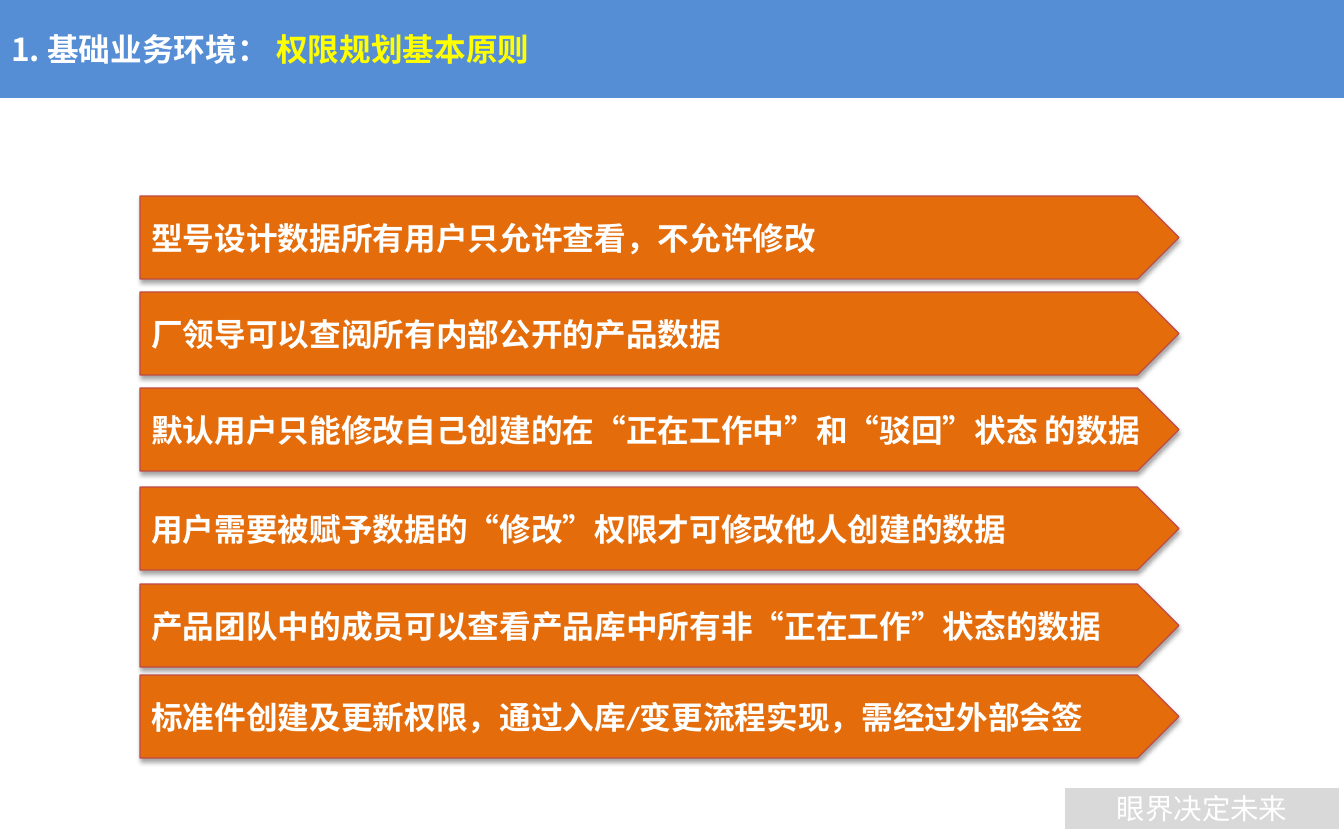
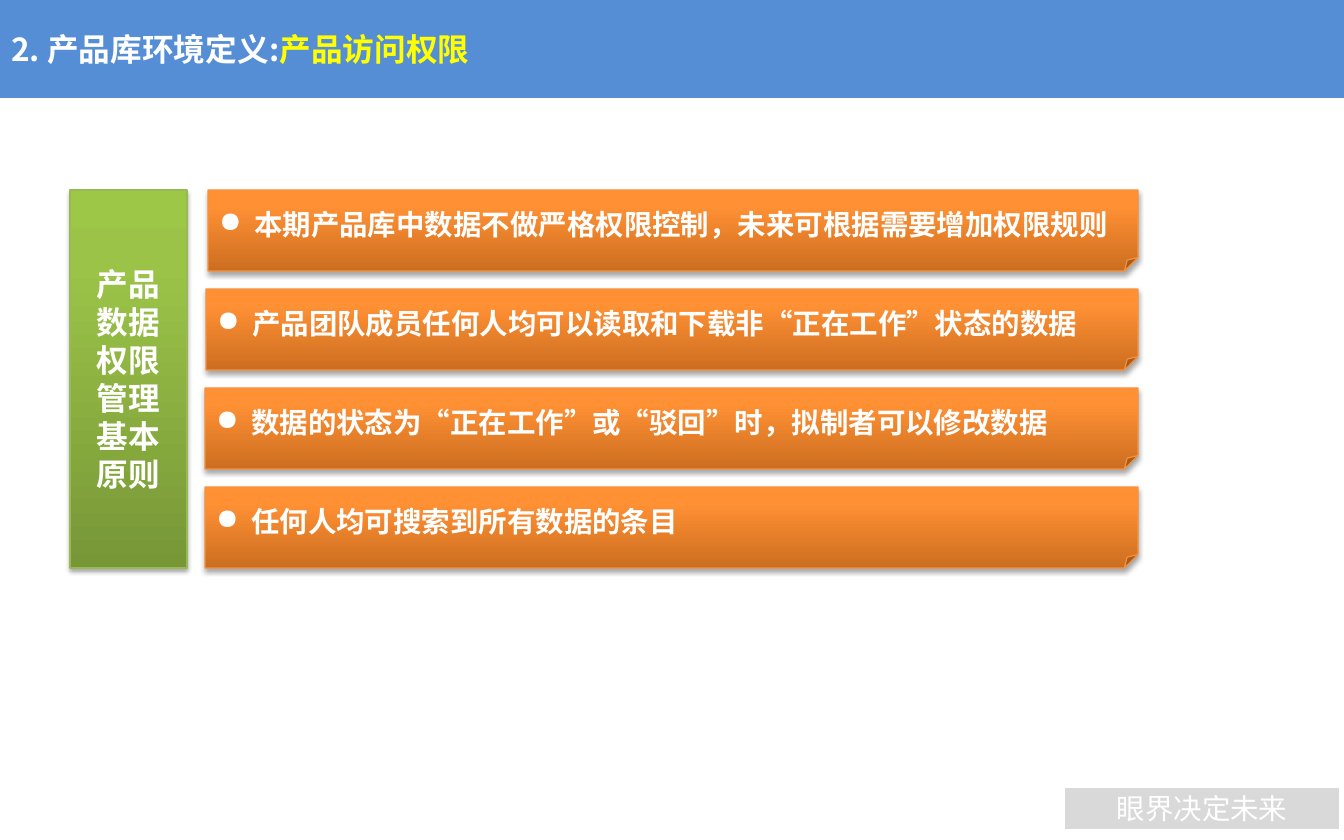
import copy

import pptx
import pptx.dml.color
import pptx.enum.shapes
import pptx.enum.text
import pptx.oxml
import pptx.oxml.ns
import pptx.util

RGBColor = pptx.dml.color.RGBColor
SHAPE = pptx.enum.shapes.MSO_SHAPE
ALIGN = pptx.enum.text.PP_ALIGN
qn = pptx.oxml.ns.qn

PX = 8035
WIDTH, HEIGHT = 1344, 840
BAND_HEIGHT = 98

WHITE = RGBColor(0xFF, 0xFF, 0xFF)
YELLOW = RGBColor(0xFF, 0xFF, 0x00)
BAND_BLUE = RGBColor(0x55, 0x8E, 0xD5)
FOOTER_GREY = RGBColor(0xD9, 0xD9, 0xD9)
ARROW_ORANGE = RGBColor(0xE4, 0x6C, 0x0A)
ARROW_EDGE = RGBColor(0xBF, 0x4C, 0x48)
NOTE_EDGE = RGBColor(0xF6, 0x92, 0x40)
GREEN_EDGE = RGBColor(0x98, 0xB9, 0x55)
NOTE_STOPS = ((0, RGBColor(0xCC, 0x6E, 0x20)), (0.8, RGBColor(0xFF, 0x90, 0x34)), (1, RGBColor(0xFF, 0x91, 0x36)))
GREEN_STOPS = ((0, RGBColor(0x77, 0x97, 0x37)), (0.8, RGBColor(0x9B, 0xC3, 0x48)), (1, RGBColor(0x9D, 0xC7, 0x46)))

CJK = "Noto Sans CJK SC"
LATIN = "Calibri"
HEADING = {"size": pptx.util.Pt(20), "bold": True, "name": CJK}
LABEL = {"size": pptx.util.Pt(20), "bold": True, "name": LATIN}
NOTE = {"size": pptx.util.Pt(18), "bold": True, "name": CJK}
MOTTO = {"size": pptx.util.Pt(18), "bold": False, "name": CJK}

NAMESPACE = pptx.oxml.ns.nsdecls("a")
SHADOW = (f'<a:outerShdw {NAMESPACE} blurRad="39370" dist="22860" dir="5400000" rotWithShape="0">'
          '<a:srgbClr val="000000"><a:alpha val="35000"/></a:srgbClr></a:outerShdw>')
BULLET = f'<a:buChar {NAMESPACE} char="●"/>'
EAST_ASIAN = f'<a:ea {NAMESPACE} typeface="{CJK}"/>'


def add_box(slide, kind, bounds, fill, edge=None, edge_points=0.75, shadow=True):
    box = slide.shapes.add_shape(kind, *(value * PX for value in bounds))
    box.shadow.inherit = False
    properties = box._element.spPr
    if shadow:
        properties.find(qn("a:effectLst")).append(pptx.oxml.parse_xml(SHADOW))
    if isinstance(fill, RGBColor):
        box.fill.solid()
        box.fill.fore_color.rgb = fill
    else:
        box.fill.gradient()
        box.fill.gradient_angle = 90
        stop_list = properties.find(".//" + qn("a:gsLst"))
        stop_list.append(copy.deepcopy(stop_list[-1]))
        for stop, (position, color) in zip(box.fill.gradient_stops, fill):
            stop.position = position
            stop.color.rgb = color
    if edge is None:
        box.line.fill.background()
    else:
        box.line.color.rgb = edge
        box.line.width = pptx.util.Pt(edge_points)
    return box


def write(box, paragraphs, style, align=ALIGN.LEFT, bullet=False):
    frame = box.text_frame
    frame.word_wrap = True
    frame.vertical_anchor = pptx.enum.text.MSO_ANCHOR.MIDDLE
    for index, spans in enumerate(paragraphs):
        para = frame.add_paragraph() if index else frame.paragraphs[0]
        para.alignment = align
        if bullet:
            paragraph_properties = para._p.get_or_add_pPr()
            paragraph_properties.set("marL", str(35 * PX))
            paragraph_properties.set("indent", str(-35 * PX))
            paragraph_properties.append(pptx.oxml.parse_xml(BULLET))
        for text, color in spans:
            span = para.add_run()
            span.text = text
            for key, value in style.items():
                setattr(span.font, key, value)
            span.font.color.rgb = color
            span._r.get_or_add_rPr().append(pptx.oxml.parse_xml(EAST_ASIAN))


deck = pptx.Presentation()
deck.slide_width = WIDTH * PX
deck.slide_height = HEIGHT * PX

headings = (
    ("1. 基础业务环境： ", "权限规划基本原则"),
    ("2. 产品库环境定义:", "产品访问权限"),
)
pages = []
for section, topic in headings:
    page = deck.slides.add_slide(deck.slide_layouts[6])
    add_box(page, SHAPE.RECTANGLE, (0, 0, WIDTH, BAND_HEIGHT), BAND_BLUE, shadow=False)
    footer = add_box(page, SHAPE.RECTANGLE, (1063, 786, 278, 45), FOOTER_GREY, WHITE, 2, shadow=False)
    write(footer, [[("眼界决定未来", WHITE)]], MOTTO, ALIGN.CENTER)
    title = page.shapes.add_textbox(0, 0, WIDTH * PX, BAND_HEIGHT * PX)
    write(title, [[(section, WHITE), (topic, YELLOW)]], HEADING)
    pages.append(page)

principles_page, access_page = pages

principles = (
    (196, "型号设计数据所有用户只允许查看，不允许修改"),
    (292, "厂领导可以查阅所有内部公开的产品数据"),
    (388, "默认用户只能修改自己创建的在“正在工作中”和“驳回”状态 的数据"),
    (487, "用户需要被赋予数据的“修改”权限才可修改他人创建的数据"),
    (584, "产品团队中的成员可以查看产品库中所有非“正在工作”状态的数据"),
    (675, "标准件创建及更新权限，通过入库/变更流程实现，需经过外部会签"),
)
for top, text in principles:
    arrow = add_box(principles_page, SHAPE.PENTAGON, (140, top, 1039, 83), ARROW_ORANGE, ARROW_EDGE)
    write(arrow, [[(text, WHITE)]], LABEL)

NOTE_TOP, NOTE_PITCH, NOTE_HEIGHT, NOTE_RIGHT = 190, 99, 81, 1138
rules = (
    (208, "本期产品库中数据不做严格权限控制，未来可根据需要增加权限规则"),
    (206, "产品团队成员任何人均可以读取和下载非“正在工作”状态的数据"),
    (205, "数据的状态为“正在工作”或“驳回”时，拟制者可以修改数据"),
    (205, "任何人均可搜索到所有数据的条目"),
)
for row, (left, text) in enumerate(rules):
    bounds = (left, NOTE_TOP + row * NOTE_PITCH, NOTE_RIGHT - left, NOTE_HEIGHT)
    note = add_box(access_page, SHAPE.FOLDED_CORNER, bounds, NOTE_STOPS, NOTE_EDGE)
    write(note, [[(text, WHITE)]], NOTE, bullet=True)

column_height = (len(rules) - 1) * NOTE_PITCH + NOTE_HEIGHT
column = add_box(access_page, SHAPE.RECTANGLE, (70, NOTE_TOP, 117, column_height), GREEN_STOPS, GREEN_EDGE)
write(column, [[("产品数据权限", WHITE)], [("管理基本原则", WHITE)]], LABEL, ALIGN.CENTER)

deck.save("out.pptx")
